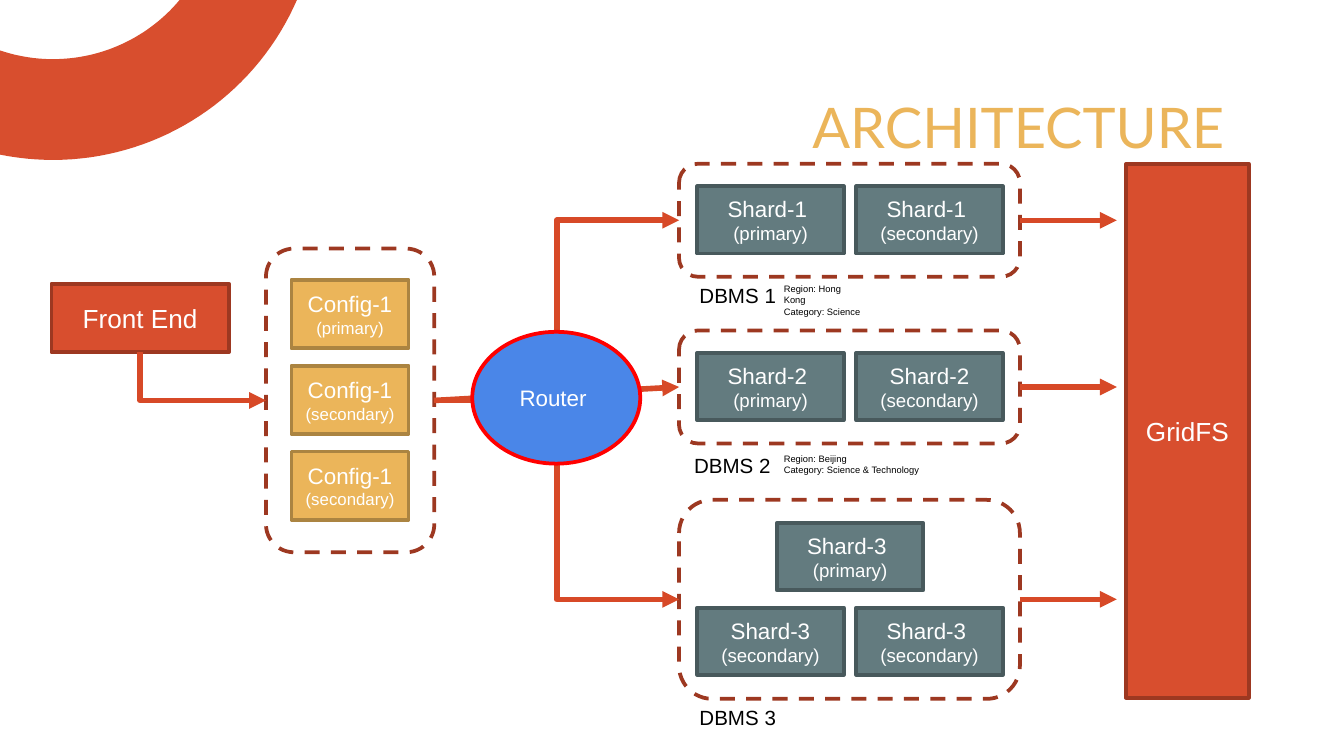
import math
import pptx
import pptx.util
import pptx.dml.color
import pptx.enum.dml
import pptx.enum.shapes
import pptx.enum.text
import pptx.oxml.ns
from lxml import etree

Pt = pptx.util.Pt
RGB = pptx.dml.color.RGBColor
Kind = pptx.enum.shapes.MSO_SHAPE
Link = pptx.enum.shapes.MSO_CONNECTOR
Align = pptx.enum.text.PP_ALIGN
Anchor = pptx.enum.text.MSO_ANCHOR
qn = pptx.oxml.ns.qn

RED = RGB(0xD8, 0x4E, 0x2E)
BRICK = RGB(0x9D, 0x38, 0x21)
ARROW = RGB(0xD7, 0x49, 0x27)
GOLD = RGB(0xEB, 0xB5, 0x5A)
BRONZE = RGB(0xAB, 0x84, 0x41)
SLATE = RGB(0x63, 0x7B, 0x7F)
STEEL = RGB(0x48, 0x59, 0x5C)
BLUE = RGB(0x4A, 0x86, 0xE8)
SCARLET = RGB(0xFF, 0, 0)
WHITE = RGB(0xFF, 0xFF, 0xFF)
BLACK = RGB(0, 0, 0)


def write(shape, lines, sizes, color, align, font="Arial", inset=3.6):
    """Fill a shape with one paragraph per line of text."""
    frame = shape.text_frame
    frame.word_wrap = True
    frame.margin_left = frame.margin_right = Pt(7.2)
    frame.margin_top = frame.margin_bottom = Pt(inset)
    frame.text = "\n".join(lines)
    for para, size in zip(frame.paragraphs, sizes):
        para.alignment = align
        style = para.runs[0].font
        style.size, style.name, style.color.rgb = Pt(size), font, color


def block(parts, box, fill, edge, lines=(), sizes=(), kind=Kind.RECTANGLE):
    """Draw an outlined shape with centred white text."""
    shape = parts.add_shape(kind, *map(Pt, box))
    shape.shadow.inherit = False
    shape.fill.solid()
    shape.fill.fore_color.rgb = fill
    shape.line.color.rgb = edge
    shape.line.width = Pt(2)
    if lines:
        shape.text_frame.vertical_anchor = Anchor.MIDDLE
        write(shape, lines, sizes, WHITE, Align.CENTER)
    return shape


def frame(parts, box):
    """Draw a dashed rounded outline."""
    shape = block(parts, box, WHITE, BRICK, kind=Kind.ROUNDED_RECTANGLE)
    shape.fill.background()
    shape.line.dash_style = pptx.enum.dml.MSO_LINE.DASH
    return shape


def label(parts, box, lines, size):
    """Place a small black caption."""
    text = parts.add_textbox(*map(Pt, box))
    write(text, lines, [size] * len(lines), BLACK, Align.LEFT)


def title(parts, box):
    """Place the slide heading."""
    text = parts.add_textbox(*map(Pt, box))
    write(text, ["ARCHITECTURE"], [30], GOLD, Align.RIGHT, "Lato", 7.2)


def ring(parts, box):
    """Draw the part of a ring that falls inside the corner box."""
    left, top, wide, high = box
    outer, inner, mid = 142.5, 88.5, 28.4
    drop = outer - high

    def arc(size):
        start = math.asin(drop / size)
        stop = math.acos(-mid / size)
        turns = [start + (stop - start) * i / 40 for i in range(41)]
        return [(left + mid + size * math.cos(a), top - drop + size * math.sin(a))
                for a in turns]

    points = [(Pt(x), Pt(y)) for x, y in arc(outer) + arc(inner)[::-1]]
    pen = parts.build_freeform(*points[0])
    pen.add_line_segments(points[1:], close=True)
    shape = pen.convert_to_shape()
    shape.shadow.inherit = False
    shape.fill.solid()
    shape.fill.fore_color.rgb = RED
    shape.line.fill.background()


def config(parts, box):
    """Draw the config servers in their frame."""
    left, top, wide, high = box
    group = parts.add_group_shape().shapes
    edge = frame(group, box)
    for row, role in enumerate(["primary", "secondary", "secondary"]):
        tile = (left + 13.7, top + 16.7 + 46 * row, 62.7, 36.7)
        block(group, tile, GOLD, BRONZE, ["Config-1", f"({role})"], [12, 9])
    return edge


def store(parts, box, name, shards, shift, notes):
    """Draw one DBMS frame with its shards and captions."""
    left, top, wide, high = box
    group = parts.add_group_shape().shapes
    edge = frame(group, box)
    for x, y, shard, role in shards:
        tile = (left + x, top + y, 78.5, 36)
        block(group, tile, SLATE, STEEL, [shard, f"({role})"], [12, 10])
    across, down = shift
    base = top + high + down
    label(group, (left + across, base, 57, 21), [name], 11)
    if notes:
        room = 57 if len(notes[1]) < 20 else 96.5
        label(group, (left + 49, base, room, 19.4), notes, 5)
    return edge


def arrow(parts, kind, start, stop, tail, head=None):
    """Draw an arrow, joined to the shapes at its ends."""
    line = parts.add_connector(kind, *map(Pt, start + stop))
    line.begin_connect(*tail)
    if head:
        line.end_connect(*head)
    line.line.color.rgb = ARROW
    line.line.width = Pt(3)
    tip = etree.SubElement(line.line._get_or_add_ln(), qn("a:tailEnd"))
    tip.set("type", "triangle")
    etree.SubElement(line._element.spPr, qn("a:effectLst"))
    return line


def corner(line):
    """Turn an elbow into a single bend that goes down, then right."""
    left, top, wide, high = line.left, line.top, line.width, line.height
    line.left = left + (wide - high) // 2
    line.top = top + (high - wide) // 2
    line.width, line.height = high, wide
    props = line._element.spPr
    props.find(qn("a:prstGeom")).set("prst", "bentConnector2")
    place = props.find(qn("a:xfrm"))
    place.set("rot", str(270 * 60000))
    place.set("flipH", "1")


def main():
    """Build the slide."""
    deck = pptx.Presentation()
    deck.slide_width, deck.slide_height = Pt(720), Pt(405)
    parts = deck.slides.add_slide(deck.slide_layouts[6]).shapes

    ring(parts, (0, 0, 159, 85.7))
    title(parts, (288, 42.5, 375, 45.4))
    front = block(parts, (27.6, 152, 95, 36.7), RED, BRICK, ["Front End"], [14])
    hub = config(parts, (142.5, 133.2, 90.2, 162.7))

    near, far = 9.7, 94.9
    plan = [
        (87.8, 60.5, (3.8, 0), ["Region: Hong Kong", "Category: Science"],
         [(near, 12, "Shard-1 ", "primary"), (far, 12, "Shard-1 ", "secondary")]),
        (177.1, 60.5, (0.9, 1.5), ["Region: Beijing", "Category: Science & Technology"],
         [(near, 12, "Shard-2 ", "primary"), (far, 12, "Shard-2", "secondary")]),
        (267.8, 106.6, (3.8, -0.5), [],
         [(near, 57.8, "Shard-3", "secondary"), (far, 57.8, "Shard-3 ", "secondary"),
          (52.3, 12.4, "Shard-3 ", "primary")]),
    ]
    left, wide = 363.8, 182.6
    stores = [store(parts, (left, top, wide, high), f"DBMS {n}", shards, shift, notes)
              for n, (top, high, shift, notes, shards) in enumerate(plan, 1)]
    block(parts, (603.2, 87.8, 65.8, 286), RED, BRICK, ["GridFS"], [14])

    bend = arrow(parts, Link.ELBOW, (75.1, 188.7), (142.5, 214.5), (front, 2), (hub, 1))
    corner(bend)
    for n, (edge, (top, high, *rest)) in enumerate(zip(stores, plan)):
        mid = top + high / 2
        kind = Link.STRAIGHT if n == 1 else Link.ELBOW
        arrow(parts, kind, (232.7, 214.5), (left, mid), (hub, 3), (edge, 1))
        arrow(parts, Link.STRAIGHT, (left + wide, mid), (598.3, mid), (edge, 3))

    block(parts, (253, 177.8, 90, 70.6), BLUE, SCARLET, ["Router "], [12], Kind.OVAL)
    deck.save("out.pptx")


if __name__ == "__main__":
    main()
